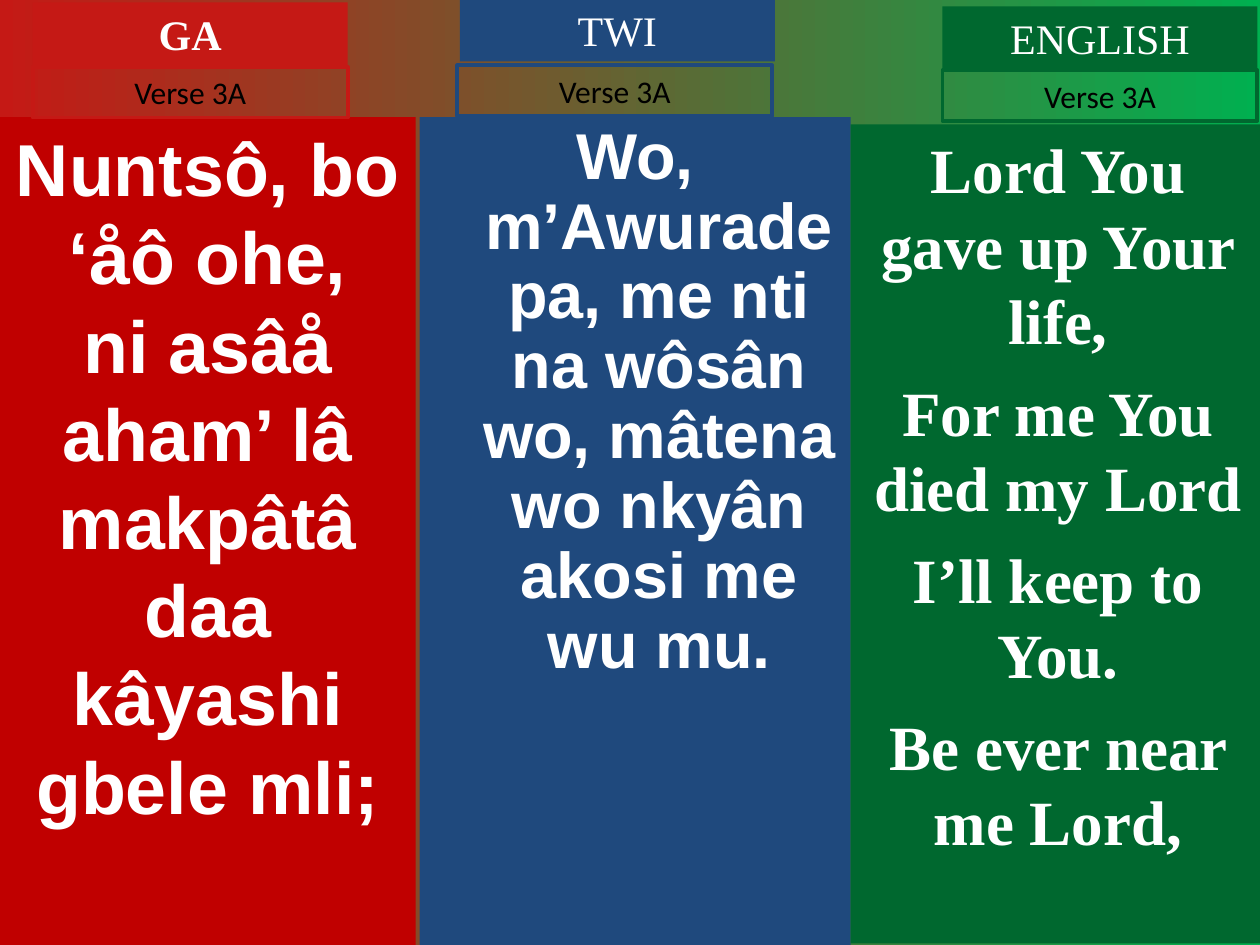
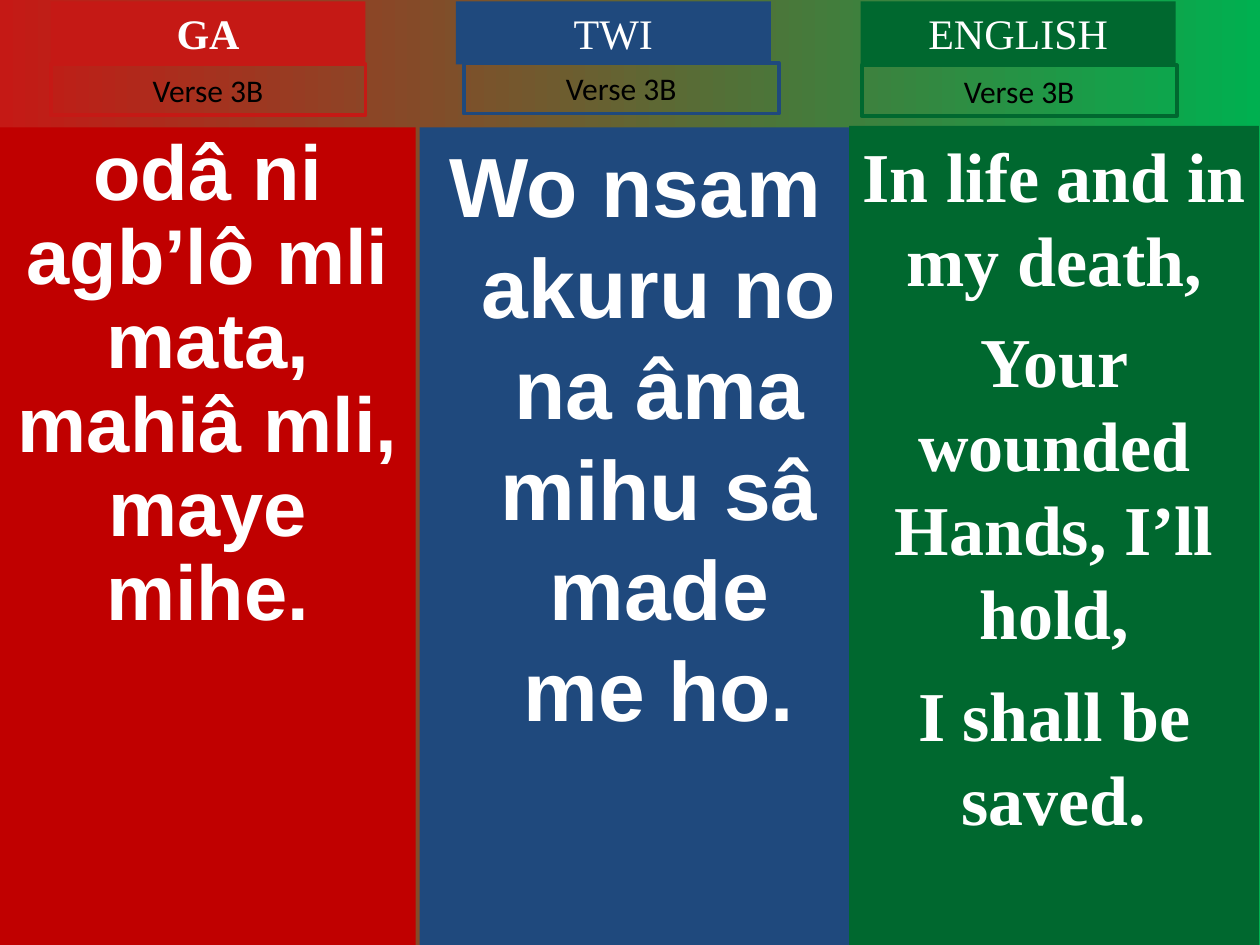
from dataclasses import dataclass

import pptx
import pptx.dml.color
import pptx.enum.dml
import pptx.enum.shapes
import pptx.enum.text
import pptx.util

Cm = pptx.util.Cm
Pt = pptx.util.Pt


@dataclass(frozen=True)
class Theme:
    white: str = "FFFFFF"
    black: str = "000000"
    fade_start: str = "C51915"
    fade_end: str = "00B050"
    sans: str = "Arial"
    serif: str = "Times New Roman"
    label_font: str = "Calibri"
    title_size: float = 24
    label_size: float = 18
    border: float = 2.25
    title_box: tuple = (6.35, 1.27)
    label_box: tuple = (6.35, 1.02)
    hanging: float = 0.97


THEME = Theme()


@dataclass(frozen=True)
class Language:
    name: str
    panel_color: str
    accent: str
    font: str
    bold_title: bool = False
    hanging: bool = False


@dataclass(frozen=True)
class Column:
    language: Language
    panel: tuple  # left, top, width, height in cm
    title_at: tuple
    label_at: tuple
    size: float
    lines: tuple
    space: float = 0
    spacing: float = 1.0


GA = Language("GA", "C00000", "C51915", THEME.sans, bold_title=True)
TWI = Language("TWI", "1F497D", "1F497D", THEME.sans, hanging=True)
ENGLISH = Language("ENGLISH", "00682F", "00682F", THEME.serif)

VERSES = {
    "Verse 3A": (
        Column(GA, (0, 2.36, 8.38, 16.69), (0.66, 0.05), (0.66, 1.35), 42,
               ("Nuntsô, bo ‘åô ohe,", "ni asâå aham’ lâ",
                "makpâtâ daa", "kâyashi gbele mli;")),
        Column(TWI, (8.46, 2.36, 8.69, 16.69), (9.27, -0.03), (9.22, 1.32), 37,
               ("Wo, m’Awurade pa, me nti na wôsân wo, "
                "mâtena wo nkyân akosi me wu mu.",), spacing=0.9),
        Column(ENGLISH, (17.15, 2.51, 8.36, 16.51), (19, 0.13), (19, 1.42), 36,
               ("Lord You gave up Your life,", "For me You died my Lord",
                "I’ll keep to You.", "Be ever near me Lord,"), space=9),
    ),
    "Verse 3B": (
        Column(GA, (0, 2.57, 8.38, 16.48), (1.02, 0.03), (1.02, 1.3), 44.4,
               ("odâ ni agb’lô mli mata, mahiâ mli,", "maye mihe."),
               spacing=0.9),
        Column(TWI, (8.46, 2.57, 8.69, 16.48), (9.19, 0.03), (9.35, 1.27), 48,
               ("Wo nsam akuru no na âma mihu sâ made me ho.",)),
        Column(ENGLISH, (17.12, 2.54, 8.26, 16.54), (17.35, 0.03), (17.37, 1.32), 40,
               ("In life and in my death,", "Your wounded Hands, I’ll hold,",
                "I shall be saved."), space=10),
    ),
}


def rgb(code):
    return pptx.dml.color.RGBColor.from_string(code)


def add_box(page, place, fill=None, line=None):
    box = page.shapes.add_shape(pptx.enum.shapes.MSO_SHAPE.RECTANGLE,
                                *(Cm(length) for length in place))
    box.shadow.inherit = False
    if fill:
        box.fill.solid()
        box.fill.fore_color.rgb = rgb(fill)
    else:
        box.fill.background()
    if line:
        box.line.color.rgb = rgb(line)
        box.line.width = Pt(THEME.border)
    else:
        box.line.fill.background()
    box.text_frame.word_wrap = True
    box.text_frame.vertical_anchor = pptx.enum.text.MSO_ANCHOR.TOP
    return box


def write(box, lines, font, size, color, bold=False, space=0, spacing=1.0):
    frame = box.text_frame
    for index, line in enumerate(lines):
        para = frame.add_paragraph() if index else frame.paragraphs[0]
        para.alignment = pptx.enum.text.PP_ALIGN.CENTER
        para.line_spacing = spacing
        para.space_before = Pt(space if index else 0)
        span = para.add_run()
        span.text = line
        span.font.name = font
        span.font.size = Pt(size)
        span.font.bold = bold
        span.font.color.rgb = rgb(color)


def hang_first_line(box):
    for para in box.text_frame.paragraphs:
        properties = para._p.get_or_add_pPr()
        properties.set("marL", str(Cm(THEME.hanging)))
        properties.set("indent", str(-Cm(THEME.hanging)))


def add_panel(page, column):
    language = column.language
    box = add_box(page, column.panel, fill=language.panel_color)
    write(box, column.lines, language.font, column.size, THEME.white, bold=True,
          space=column.space, spacing=column.spacing)
    if language.hanging:
        hang_first_line(box)


def add_heading(page, column, verse):
    language = column.language
    title = add_box(page, column.title_at + THEME.title_box, fill=language.accent)
    write(title, [language.name], THEME.serif, THEME.title_size, THEME.white,
          bold=language.bold_title)
    label = add_box(page, column.label_at + THEME.label_box, line=language.accent)
    write(label, [verse], THEME.label_font, THEME.label_size, THEME.black)


def paint_background(page):
    fill = page.background.fill
    fill.gradient()
    fill.gradient_angle = 0
    for stop, color in zip(fill.gradient_stops, (THEME.fade_start, THEME.fade_end)):
        stop.color.rgb = rgb(color)


def main():
    deck = pptx.Presentation()
    deck.slide_width, deck.slide_height = Cm(25.4), Cm(19.05)
    for verse, columns in VERSES.items():
        page = deck.slides.add_slide(deck.slide_layouts[6])
        paint_background(page)
        # Lyrics first, then the headings above them
        for column in columns:
            add_panel(page, column)
        for column in columns:
            add_heading(page, column, verse)
    deck.save("out.pptx")


if __name__ == "__main__":
    main()
